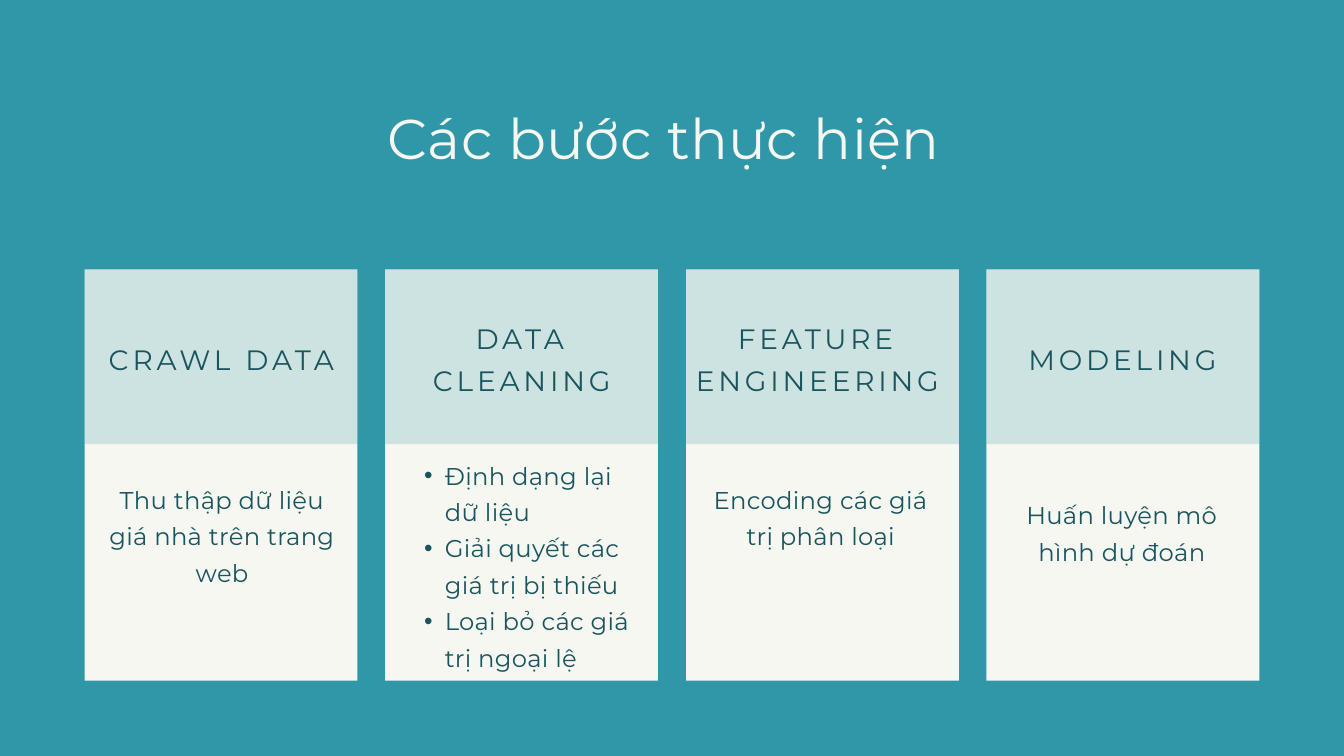
from lxml import etree
from pptx import Presentation
from pptx import util as u
from pptx.dml.color import RGBColor
from pptx.enum import shapes, text
from pptx.oxml.ns import qn

PX = 9144  # EMU per px, 100 px to the inch
COLORS = {"teal": "3097A8", "cream": "F5F7F0", "ink": "1A555F"}
FONT = "Montserrat"

# size, line spacing, letter spacing (points) and colour
STYLES = {
    "title": (60, 77.4, 0.6, "cream"),
    "heading": (30, 44.7, 4.1, "ink"),
    "body": (26, 39, 0.3, "ink"),
}

CARD_LEFT, CARD_TOP, CARD_WIDTH, CARD_HEIGHT = 126, 401, 406, 612
HEADER_HEIGHT = 260
CARD_PITCH = 447.33

# heading, its box; body paragraphs, their box (left is relative to the card)
STEPS = [
    ("CRAWL DATA", (28, 498, 351, 58),
     ["Thu thập dữ liệu giá nhà trên trang web"], (31, 711, 347, 160)),
    ("DATA CLEANING", (28, 467, 351, 119),
     ["Định dạng lại dữ liệu", "Giải quyết các giá trị bị thiếu",
      "Loại bỏ các giá trị ngoại lệ"], (28, 675, 351, 323)),
    ("FEATURE ENGINEERING", (-14, 467, 419, 119),
     ["Encoding các giá trị phân loại"], (27, 711, 347, 106)),
    ("MODELING", (27, 498, 351, 58),
     ["Huấn luyện mô hình dự đoán"], (27, 734, 349, 106)),
]


def px(value):
    return u.Emu(value * PX)


def color(name):
    return RGBColor.from_string(COLORS[name])


class Deck:
    def __init__(self, width, height):
        self.presentation = Presentation()
        self.presentation.slide_width = px(width)
        self.presentation.slide_height = px(height)
        self.slide = None

    def add_slide(self, background):
        self.slide = self.presentation.slides.add_slide(self.presentation.slide_layouts[5])
        fill = self.slide.background.fill
        fill.solid()
        fill.fore_color.rgb = color(background)

    def rectangle(self, left, top, width, height, fill, opacity=100):
        shape = self.slide.shapes.add_shape(
            shapes.MSO_SHAPE.RECTANGLE, px(left), px(top), px(width), px(height))
        shape.shadow.inherit = False
        shape.line.fill.background()
        shape.fill.solid()
        shape.fill.fore_color.rgb = color(fill)
        if opacity < 100:
            rgb = shape._element.spPr.find(".//" + qn("a:srgbClr"))
            etree.SubElement(rgb, qn("a:alpha")).set("val", str(opacity * 1000))

    def title(self, words, left, top, width, height):
        shape = self.slide.shapes.title
        shape.left, shape.top, shape.width, shape.height = map(px, (left, top, width, height))
        self.fill_frame(shape.text_frame, [words], "title")

    def text(self, paragraphs, left, top, width, height, style):
        box = self.slide.shapes.add_textbox(px(left), px(top), px(width), px(height))
        self.fill_frame(box.text_frame, paragraphs, style)

    def fill_frame(self, frame, paragraphs, style):
        size, line_spacing, tracking, ink = STYLES[style]
        frame.word_wrap = True
        frame.auto_size = text.MSO_AUTO_SIZE.NONE
        frame.vertical_anchor = text.MSO_ANCHOR.TOP
        frame.margin_left = frame.margin_top = frame.margin_right = frame.margin_bottom = 0
        for index, words in enumerate(paragraphs):
            paragraph = frame.add_paragraph() if index else frame.paragraphs[0]
            paragraph.line_spacing = u.Pt(line_spacing)
            if len(paragraphs) > 1:
                self.bullet(paragraph)
            else:
                paragraph.alignment = text.PP_ALIGN.CENTER
            run = paragraph.add_run()
            run.text = words
            run.font.size = u.Pt(size)
            run.font.name = FONT
            run.font.color.rgb = color(ink)
            run._r.get_or_add_rPr().set("spc", str(round(tracking * 100)))

    def bullet(self, paragraph):
        paragraph.level = 1
        paragraph.alignment = text.PP_ALIGN.LEFT
        properties = paragraph._p.get_or_add_pPr()
        properties.set("marL", str(px(61)))
        properties.set("indent", str(px(-31)))
        etree.SubElement(properties, qn("a:buFont")).set("typeface", "Arial")
        etree.SubElement(properties, qn("a:buChar")).set("char", "•")


def main():
    deck = Deck(2000, 1125)
    deck.add_slide("teal")

    # Title; its closing space shifts the centred line slightly left
    deck.title("Các bước thực hiện ", 154, 146, 1691, 105)

    # One card per step: panel, tinted header, heading and body
    for index, (heading, heading_box, body, body_box) in enumerate(STEPS):
        left = round(CARD_LEFT + index * CARD_PITCH)
        deck.rectangle(left, CARD_TOP, CARD_WIDTH, CARD_HEIGHT, "cream")
        deck.rectangle(left, CARD_TOP, CARD_WIDTH, HEADER_HEIGHT, "teal", opacity=20)
        for paragraphs, box, style in (([heading], heading_box, "heading"),
                                       (body, body_box, "body")):
            deck.text(paragraphs, left + box[0], *box[1:], style)

    deck.presentation.save("out.pptx")


if __name__ == "__main__":
    main()
